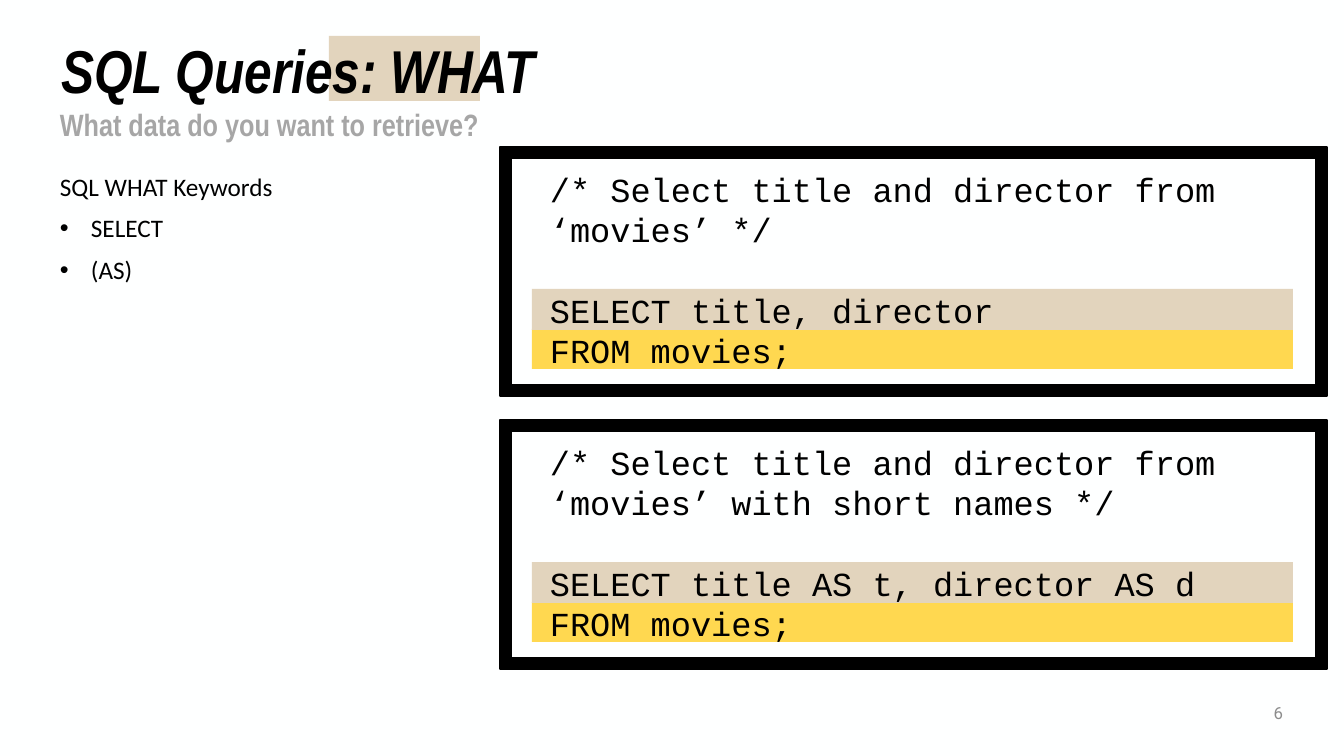
from lxml.etree import SubElement
from pptx import Presentation
from pptx.dml.color import RGBColor
from pptx.enum.shapes import MSO_SHAPE
from pptx.enum.text import MSO_ANCHOR, MSO_AUTO_SIZE, PP_ALIGN
from pptx.oxml.ns import qn
from pptx.util import Emu, Pt

# Content
TITLE = "SQL Queries: WHAT"
SUBTITLE = "What data do you want to retrieve?"
KEYWORD_HEADING = "SQL WHAT Keywords"
KEYWORDS = ["SELECT", "(AS)"]
PAGE_NUMBER = "6"
QUERIES = [
    ("/* Select title and director from ‘movies’ */",
     "SELECT title, director", "FROM movies;"),
    ("/* Select title and director from ‘movies’ with short names */",
     "SELECT title AS t, director AS d", "FROM movies;"),
]
COLORS = {"background": "FEFFFF", "black": "000000", "what": "E2D4BD",
          "from": "FFD850", "subtitle": "A6A6A6", "number": "8C8C8C"}

# Layout in px
SLIDE_SIZE = (1344, 756)
QUERY_TOP, QUERY_STEP = 147, 273
CODE_LINE = Pt(28.8)
BULLET_INDENT = 31


def px(length):
    return Emu(round(length * 914400 / 100.8))


def color(name):
    return RGBColor.from_string(COLORS[name])


def add_block(kind, place, fill):
    block = page.shapes.add_shape(kind, *map(px, place))
    block.shadow.inherit = False
    block.fill.solid()
    block.fill.fore_color.rgb = color(fill)
    block.line.fill.background()
    return block


def format_paragraph(para, font, size, fill, bold=False, italic=False):
    para.font.name = font
    para.font.size = Pt(size)
    para.font.color.rgb = color(fill)
    para.font.bold = bold
    para.font.italic = italic


def add_text(place, lines, font, size, fill, bold=False):
    box = page.shapes.add_textbox(*map(px, place))
    frame = box.text_frame
    frame.word_wrap = True
    frame.text = "\n".join(lines)
    for para in frame.paragraphs:
        format_paragraph(para, font, size, fill, bold)
    return frame


def add_bullet(para):
    properties = para._p.get_or_add_pPr()
    properties.set("marL", str(px(BULLET_INDENT)))
    properties.set("indent", str(-px(BULLET_INDENT)))
    SubElement(properties, qn("a:buFont")).set("typeface", "Arial")
    SubElement(properties, qn("a:buChar")).set("char", "•")


def add_query(top, lines):
    add_block(MSO_SHAPE.RECTANGLE, (532, top + 182, 761, 40), "from")
    add_block(MSO_SHAPE.RECTANGLE, (532, top + 142, 761, 41), "what")
    code = add_text((540, top + 17, 733, 214), lines, "Courier New", 24, "black")
    for para in code.paragraphs:
        para.line_spacing = CODE_LINE
    code.paragraphs[1].space_before = CODE_LINE
    border = add_block(MSO_SHAPE.FRAME, (500, top, 827, 249), "black")
    border.adjustments[0] = 0.044
    border.line.color.rgb = color("black")
    border.line.width = Pt(1)


deck = Presentation()
deck.slide_width, deck.slide_height = map(px, SLIDE_SIZE)
page = deck.slides.add_slide(deck.slide_layouts[5])
page.background.fill.solid()
page.background.fill.fore_color.rgb = color("background")

# Title over its highlight
add_block(MSO_SHAPE.RECTANGLE, (329, 36, 151, 65), "what")
title = page.shapes.title
title.left, title.top, title.width, title.height = map(px, (51, 42, 1242, 64))
title.element.getparent().append(title.element)
title.text_frame.text = TITLE
title.text_frame.auto_size = MSO_AUTO_SIZE.NONE
title.text_frame.vertical_anchor = MSO_ANCHOR.MIDDLE
heading = title.text_frame.paragraphs[0]
heading.alignment = PP_ALIGN.LEFT
heading.line_spacing = 0.9
format_paragraph(heading, "Arial Narrow", 43.2, "black", bold=True, italic=True)

# Subtitle
subtitle = add_text((50, 105, 1243, 40), [SUBTITLE], "Arial Narrow", 22,
                    "subtitle", bold=True)
subtitle.paragraphs[0].line_spacing = 0.9

# Keyword list
keywords = add_text((50, 170, 308, 491), [KEYWORD_HEADING], "Calibri", 18, "black")
keywords.paragraphs[0].line_spacing = 0.9
for keyword in KEYWORDS:
    para = keywords.add_paragraph()
    para.text = keyword
    para.line_spacing = 0.9
    para.space_before = Pt(10)
    add_bullet(para)
    format_paragraph(para, "Calibri", 18, "black")

# Framed queries
for index, query in enumerate(QUERIES):
    add_query(QUERY_TOP + index * QUERY_STEP, query)

# Page number
number = add_text((1172, 693, 121, 40), [PAGE_NUMBER], "Roboto", 12, "number")
number.vertical_anchor = MSO_ANCHOR.MIDDLE
number.paragraphs[0].alignment = PP_ALIGN.RIGHT

deck.save("out.pptx")
